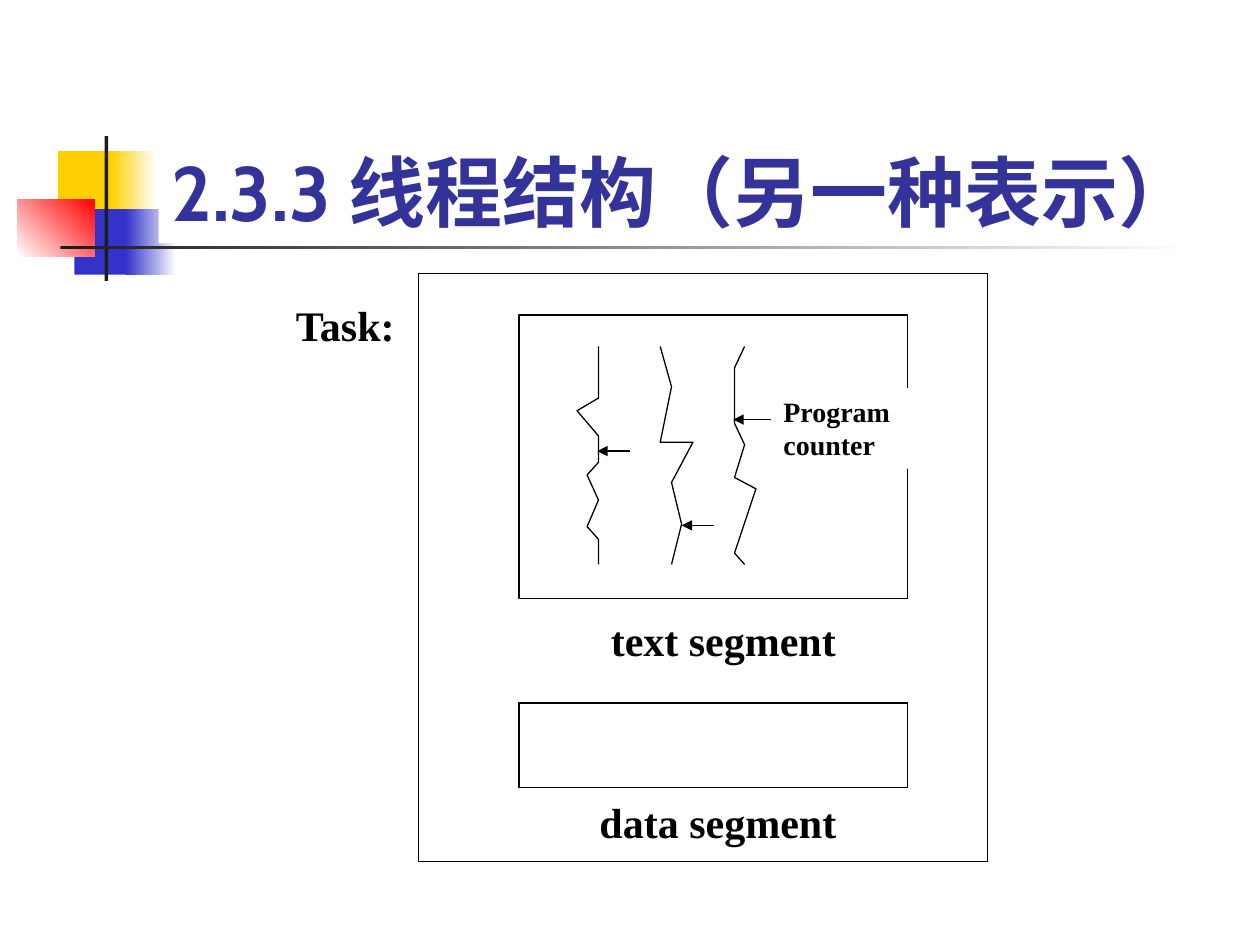
from pptx import Presentation
from pptx.dml.color import RGBColor
from pptx.enum.shapes import MSO_CONNECTOR, MSO_SHAPE
from pptx.enum.text import MSO_ANCHOR, MSO_AUTO_SIZE, PP_ALIGN
from pptx.oxml.ns import qn
from pptx.util import Inches, Pt
from lxml.etree import SubElement

COLORS = {
    "white": "FFFFFF", "black": "000000", "title": "333399", "yellow": "FFCF01",
    "blue": "3333CC", "red": "FF0000", "charcoal": "1C1C1C",
}


def color(name):
    return RGBColor.from_string(COLORS[name])


def inches(values):
    return [Inches(value) for value in values]


def paint(shape, fill="white", line=None):
    shape.shadow.inherit = False
    shape.fill.solid()
    shape.fill.fore_color.rgb = color(fill)
    if line:
        shape.line.color.rgb = color(line)
        shape.line.width = Pt(0.75)
    else:
        shape.line.fill.background()


def add_rectangle(page, box, fill="white", line=None):
    shape = page.shapes.add_shape(MSO_SHAPE.RECTANGLE, *inches(box))
    paint(shape, fill, line)
    return shape


def add_fade(page, box, start, end, angle=0):
    shape = add_rectangle(page, box)
    shape.fill.gradient()
    shape.fill.gradient_angle = angle
    for stop, name, position in zip(shape.fill.gradient_stops, (start, end), (0, 1)):
        stop.color.rgb = color(name)
        stop.position = position


def write(para, text, size, font, name):
    span = para.add_run()
    span.text = text
    span.font.size = Pt(size)
    span.font.name = font
    span.font.bold = True
    span.font.color.rgb = color(name)


def add_label(page, box, text, size=24):
    label = page.shapes.add_textbox(*inches(box))
    label.fill.solid()
    label.fill.fore_color.rgb = color("white")
    label.text_frame.word_wrap = True
    write(label.text_frame.paragraphs[0], text, size, "Times New Roman", "black")


def add_thread(page, points):
    start, *rest = [inches(point) for point in points]
    builder = page.shapes.build_freeform(*start)
    builder.add_line_segments(rest, close=False)
    paint(builder.convert_to_shape(), line="black")


def add_arrow(page, start, end):
    arrow = page.shapes.add_connector(MSO_CONNECTOR.STRAIGHT, *inches(start + end))
    arrow.line.color.rgb = color("black")
    arrow.line.width = Pt(0.75)
    SubElement(arrow.line._get_or_add_ln(), qn("a:tailEnd"), type="triangle")
    SubElement(arrow._element.spPr, qn("a:effectLst"))


def add_ornament(page, left, top):
    """Coloured squares with a crossing bar and rule."""
    def at(x, y, width, height):
        return left + x, top + y, width, height

    add_rectangle(page, at(0.32, 0.12, 0.48, 0.52), "yellow")
    add_fade(page, at(0.74, 0.12, 0.36, 0.52), "yellow", "white")
    add_rectangle(page, at(0.45, 0.58, 0.46, 0.52), "blue")
    add_fade(page, at(0.86, 0.58, 0.4, 0.52), "blue", "white")
    add_fade(page, at(0, 0.5, 0.61, 0.46), "white", "red", 45)
    add_rectangle(page, at(0.69, 0, 0.03, 1.15), "charcoal")
    add_fade(page, at(0.34, 0.87, 9, 0.03), "charcoal", "white")


def place_title(page, box, text):
    title = page.shapes.title
    title.left, title.top, title.width, title.height = inches(box)
    title.fill.solid()
    title.fill.fore_color.rgb = color("white")
    frame = title.text_frame
    frame.word_wrap = True
    frame.auto_size = MSO_AUTO_SIZE.NONE
    frame.vertical_anchor = MSO_ANCHOR.BOTTOM
    frame.paragraphs[0].alignment = PP_ALIGN.LEFT
    write(frame.paragraphs[0], text, 44, "Cabin", "title")
    # The title lies over the ornament
    page.shapes._spTree.append(title._element)


def add_threads(page, left, top):
    """Three threads, each with an arrow for its program counter."""
    threads = [
        [(0.17, 0), (0.17, 0.41), (0, 0.51), (0.17, 0.71), (0.17, 0.92),
         (0.08, 1.02), (0.17, 1.22), (0.08, 1.43), (0.17, 1.53), (0.17, 1.73)],
        [(0.66, 0), (0.75, 0.32), (0.66, 0.76), (0.92, 0.76), (0.75, 1.08),
         (0.83, 1.41), (0.75, 1.73)],
        [(1.33, 0), (1.25, 0.17), (1.25, 0.61), (1.33, 0.78), (1.25, 1.04),
         (1.42, 1.13), (1.25, 1.64), (1.33, 1.73)],
    ]
    counters = [(0.42, 0.16, 0.83), (1.09, 0.83, 1.42), (1.59, 1.24, 0.58)]
    for points in threads:
        add_thread(page, [(left + x, top + y) for x, y in points])
    for start, end, y in counters:
        add_arrow(page, (left + start, top + y), (left + end, top + y))


def add_task(page, left, top, width, height):
    """Task frame holding the text and data segments."""
    add_rectangle(page, (left, top, width, height), line="black")
    for offset, segment_height in ((0.33, 2.25), (3.41, 0.67)):
        add_rectangle(page, (left + 0.8, top + offset, 3.08, segment_height), line="black")
    add_label(page, (left + 1.43, top + 2.66, 2, 0.5), "text segment")
    add_label(page, (left + 1.34, top + 4.1, 2.17, 0.5), "data segment")
    add_threads(page, left + 1.26, top + 0.58)
    add_label(page, (left + 2.8, top + 0.91, 1.13, 0.64), "Program counter", 16)
    add_label(page, (left - 1.07, top + 0.16, 1, 0.5), "Task:")


def main():
    deck = Presentation()
    deck.slide_width, deck.slide_height = Inches(10), Inches(7.5)
    page = deck.slides.add_slide(deck.slide_layouts[5])
    add_ornament(page, 0.14, 1.08)
    place_title(page, (1.26, 0.68, 8.52, 1.25), "2.3.3 线程结构（另一种表示）")
    add_task(page, 3.32, 2.17, 4.52, 4.67)
    deck.save("out.pptx")


if __name__ == "__main__":
    main()
